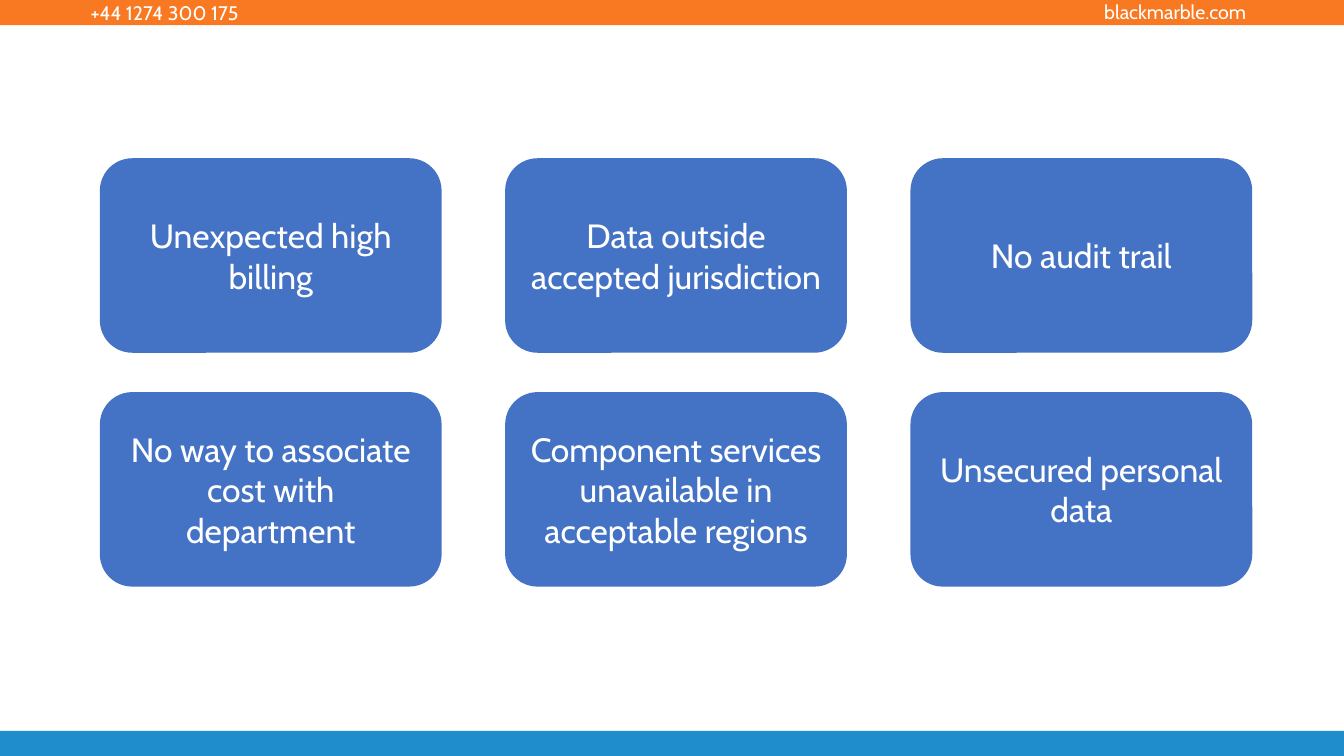
"""Build a slide with a two-by-three grid of cloud governance risks."""
import pptx
import pptx.util
from pptx.dml.color import RGBColor
from pptx.enum.shapes import MSO_SHAPE
from pptx.enum.text import MSO_ANCHOR, PP_ALIGN
from pptx.util import Inches

COLOURS = {"orange": "F97923", "footer": "1F8CCB", "card": "4472C4", "text": "FFFFFF"}


def write_text(shape, text, size, align, anchor):
    frame = shape.text_frame
    frame.word_wrap = True
    frame.vertical_anchor = anchor
    para = frame.paragraphs[0]
    para.alignment = align
    span = para.add_run()
    span.text = text
    span.font.name = "Cabin"
    span.font.size = pptx.util.Pt(size)
    span.font.color.rgb = RGBColor.from_string(COLOURS["text"])


def add_block(page, preset, left, top, width, height, colour):
    block = page.shapes.add_shape(
        preset, Inches(left), Inches(top), Inches(width), Inches(height))
    block.shadow.inherit = False
    block.fill.solid()
    block.fill.fore_color.rgb = RGBColor.from_string(COLOURS[colour])
    block.line.fill.background()
    return block


deck = pptx.Presentation()
deck.slide_width = Inches(13.33)
deck.slide_height = Inches(7.5)
page = deck.slides.add_slide(deck.slide_layouts[6])

for top, colour in [(0, "orange"), (7.25, "footer")]:
    add_block(page, MSO_SHAPE.RECTANGLE, 0, top, 13.33, 0.25, colour)

contacts = [
    ("+44 1274 300 175", 0.8, -0.04, PP_ALIGN.LEFT),
    ("blackmarble.com", 10.1, -0.05, PP_ALIGN.RIGHT),
]
for text, left, top, align in contacts:
    box = page.shapes.add_textbox(Inches(left), Inches(top), Inches(2.36), Inches(0.34))
    write_text(box, text, size=14, align=align, anchor=MSO_ANCHOR.TOP)

risks = [
    "Unexpected high billing",
    "Data outside accepted jurisdiction",
    "No audit trail",
    "No way to associate cost with department",
    "Component services unavailable in acceptable regions",
    "Unsecured personal data",
]
for index, risk in enumerate(risks):
    row, column = divmod(index, 3)
    card = add_block(page, MSO_SHAPE.ROUNDED_RECTANGLE,
                     0.99 + column * 4.02, 1.57 + row * 2.32, 3.39, 1.93, "card")
    write_text(card, risk, size=24, align=PP_ALIGN.CENTER, anchor=MSO_ANCHOR.MIDDLE)

deck.save("out.pptx")
